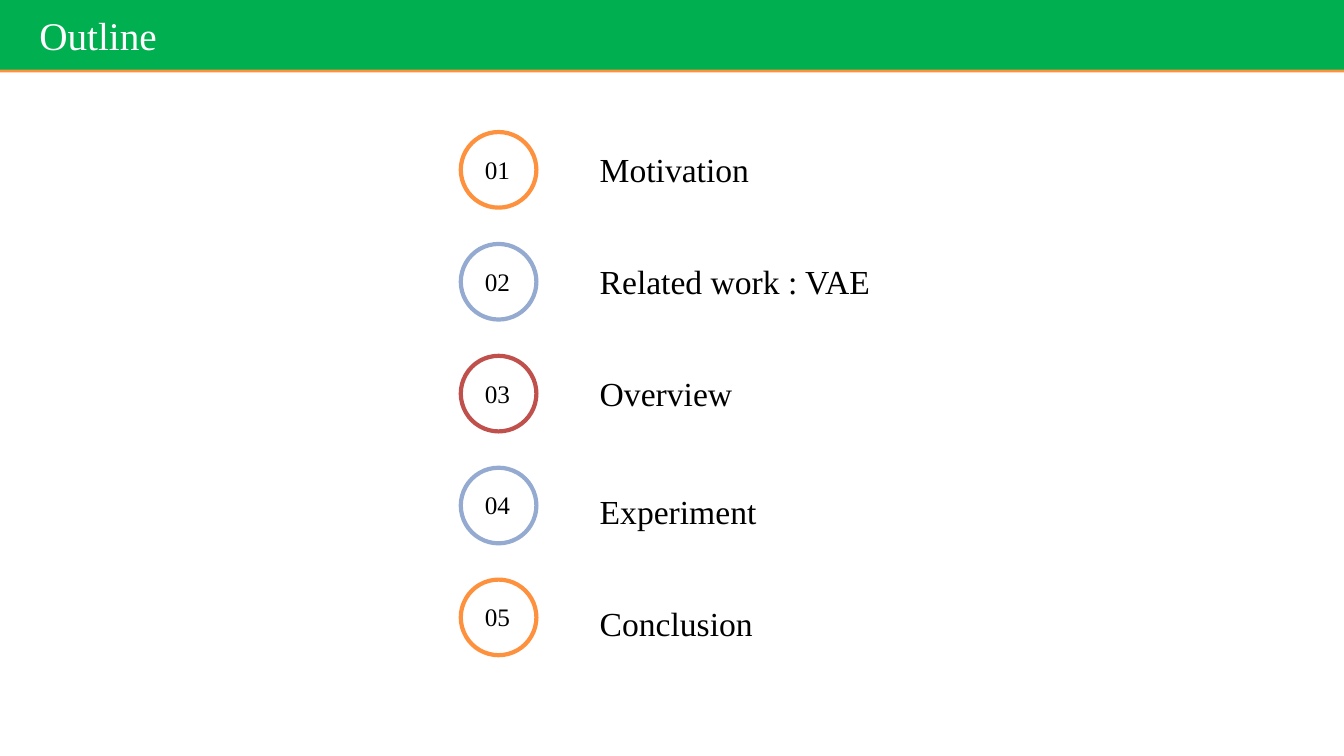
"""Build the outline slide: a title bar and five numbered topics."""
from lxml import etree
from pptx import Presentation
from pptx.dml.color import RGBColor
from pptx.enum.shapes import MSO_SHAPE
from pptx.enum.text import MSO_ANCHOR, MSO_AUTO_SIZE, PP_ALIGN
from pptx.oxml.ns import qn
from pptx.util import Inches, Pt

FONT = "Times New Roman"
COLORS = {
    "green": "00B050",
    "orange": "FE913E",
    "blue": "94AAD1",
    "red": "C0504C",
    "white": "FFFFFF",
    "black": "000000",
}
TOPICS = [
    ("Motivation", "orange", 0.12),
    ("Related work : VAE", "blue", 0.12),
    ("Overview", "red", 0.12),
    ("Experiment", "blue", 0.18),
    ("Conclusion", "orange", 0.18),
]
FIRST_TOP, PITCH = 1.31, 1.11
RING_LEFT, RING_SIZE = 4.57, 0.75


def rgb(name):
    """Return the named colour."""
    return RGBColor.from_string(COLORS[name])


def set_text(tf, text, size, color="black"):
    """Write one left-aligned run in the slide's font."""
    p = tf.paragraphs[0]
    p.alignment = PP_ALIGN.LEFT
    r = p.add_run()
    r.text = text
    r.font.name = FONT
    r.font.size = Pt(size)
    r.font.color.rgb = rgb(color)


def add_edge_shadow(sp, color, distance):
    """Give a shape a hard shadow straight below it."""
    effects = etree.SubElement(sp._element.spPr, qn("a:effectLst"))
    shadow = etree.SubElement(
        effects, qn("a:outerShdw"), blurRad="0", dist=str(Pt(distance)),
        dir="5400000", algn="t", rotWithShape="0")
    etree.SubElement(shadow, qn("a:srgbClr"), val=COLORS[color])


def add_title_bar(s, width, text):
    """Turn the title placeholder into a full-width bar."""
    sp = s.shapes.title
    sp.left, sp.top, sp.width, sp.height = 0, 0, width, Inches(0.69)
    sp.fill.solid()
    sp.fill.fore_color.rgb = rgb("green")
    add_edge_shadow(sp, "orange", 2)
    tf = sp.text_frame
    tf.auto_size = MSO_AUTO_SIZE.NONE
    tf.vertical_anchor = MSO_ANCHOR.MIDDLE
    tf.margin_left = Inches(0.39)
    set_text(tf, text, 28, "white")


def add_text(s, text, left, top, width, height, size, wrap=True):
    """Add a text box holding one line."""
    sp = s.shapes.add_textbox(
        Inches(left), Inches(top), Inches(width), Inches(height))
    tf = sp.text_frame
    tf.word_wrap = wrap
    tf.auto_size = MSO_AUTO_SIZE.SHAPE_TO_FIT_TEXT
    set_text(tf, text, size)


def add_ring(s, top, color):
    """Add an unfilled circle with a coloured outline."""
    sp = s.shapes.add_shape(
        MSO_SHAPE.OVAL, Inches(RING_LEFT), Inches(top),
        Inches(RING_SIZE), Inches(RING_SIZE))
    sp.shadow.inherit = False
    sp.fill.background()
    sp.line.color.rgb = rgb(color)
    sp.line.width = Pt(3)


def add_topic(s, number, label, color, label_drop):
    """Add one numbered ring and its label."""
    top = FIRST_TOP + PITCH * (number - 1)
    add_ring(s, top, color)
    add_text(s, f"{number:02d}", RING_LEFT + 0.14, top + 0.17, 0.45, 0.4, 18,
             wrap=False)
    add_text(s, label, 5.85, top + label_drop, 3.57, 0.5, 24)


def main():
    """Build and save the slide."""
    prs = Presentation()
    prs.slide_width, prs.slide_height = Inches(13.33), Inches(7.5)
    s = prs.slides.add_slide(prs.slide_layouts[5])
    add_title_bar(s, prs.slide_width, "Outline")
    for number, topic in enumerate(TOPICS, 1):
        add_topic(s, number, *topic)
    prs.save("out.pptx")


if __name__ == "__main__":
    main()
